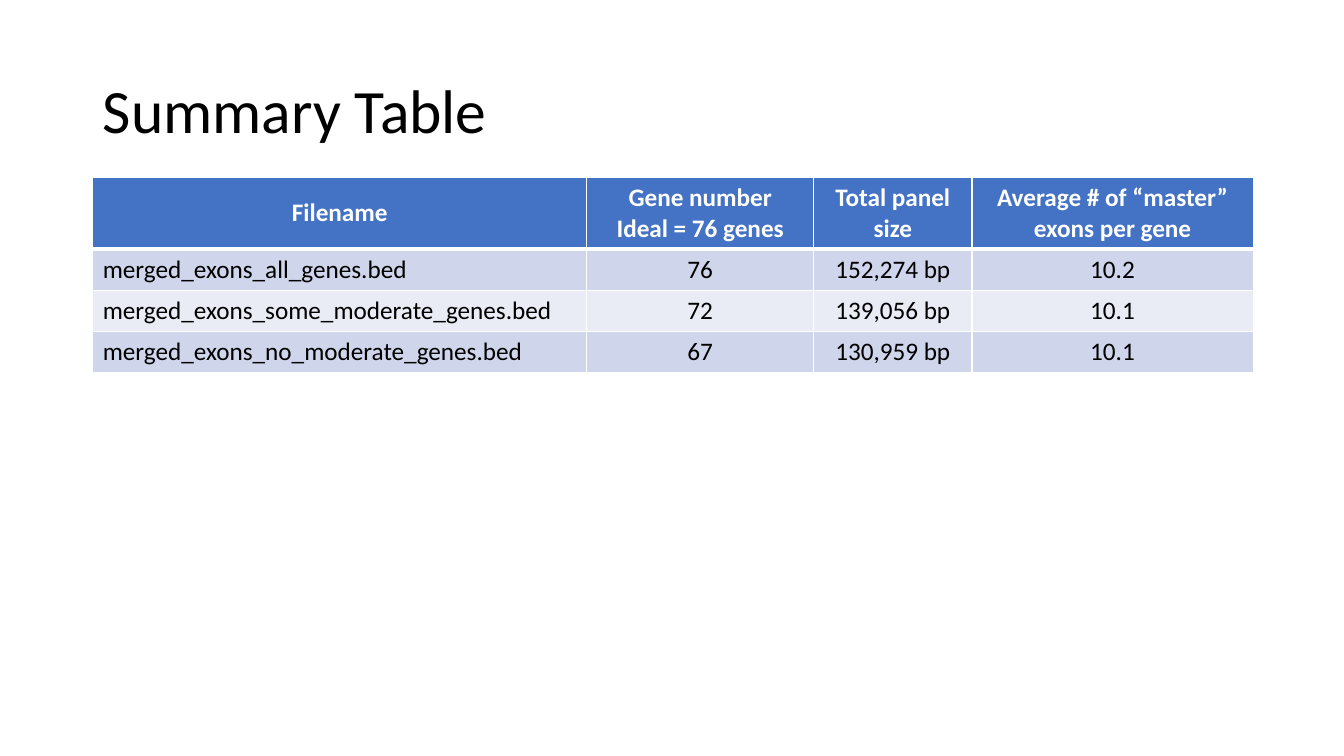
"""Build the summary table slide."""
from dataclasses import dataclass

from lxml import etree
from pptx import Presentation
from pptx.dml.color import RGBColor
from pptx.enum.text import MSO_ANCHOR, PP_ALIGN
from pptx.oxml.ns import qn
from pptx.util import Inches, Pt

LEFT, CENTER = PP_ALIGN.LEFT, PP_ALIGN.CENTER
TOP, MIDDLE = MSO_ANCHOR.TOP, MSO_ANCHOR.MIDDLE
TITLE_ONLY_LAYOUT = 5


@dataclass(frozen=True)
class Theme:
    """Colours, typeface and type sizes of the slide."""
    font: str = "Calibri"
    title_size: int = 44
    table_size: int = 18
    text: str = "000000"
    white: str = "FFFFFF"
    header: str = "4472C4"
    bands: tuple[str, str] = ("CFD5EA", "E9EBF5")
    rule: float = 1
    header_rule: float = 3


@dataclass(frozen=True)
class Column:
    """A table column with its heading, width and body alignment."""
    heading: str
    width: float
    align: PP_ALIGN = CENTER
    anchor: MSO_ANCHOR = MIDDLE


@dataclass(frozen=True)
class PanelFile:
    """One gene panel file and its figures."""
    filename: str
    genes: str
    size: str
    exons: str

    def values(self) -> tuple[str, ...]:
        """Return the figures in column order."""
        return self.filename, self.genes, self.size, self.exons


THEME = Theme()
COLUMNS = (
    Column("Filename", 4.9, LEFT, TOP),
    Column("Gene number\nIdeal = 76 genes", 2.25),
    Column("Total panel size", 1.57),
    Column("Average # of “master” exons per gene", 2.79),
)
PANEL_FILES = (
    PanelFile("merged_exons_all_genes.bed", "76", "152,274 bp", "10.2"),
    PanelFile("merged_exons_some_moderate_genes.bed", "72", "139,056 bp", "10.1"),
    PanelFile("merged_exons_no_moderate_genes.bed", "67", "130,959 bp", "10.1"),
)
MARGIN, CONTENT_WIDTH = 0.92, 11.5
TABLE_TOP, HEADER_HEIGHT, ROW_HEIGHT = 1.76, 0.7, 0.41


def write_text(frame, text: str, *, size: float, color: str = THEME.text,
               bold: bool = False, align: PP_ALIGN = LEFT,
               anchor: MSO_ANCHOR = MIDDLE, line_spacing: float = 1.0) -> None:
    """Fill a text frame with formatted text, one paragraph per line."""
    frame.text = text
    frame.word_wrap = True
    frame.vertical_anchor = anchor
    for paragraph in frame.paragraphs:
        paragraph.alignment = align
        paragraph.line_spacing = line_spacing
        for run in paragraph.runs:
            run.font.name = THEME.font
            run.font.size = Pt(size)
            run.font.bold = bold
            run.font.color.rgb = RGBColor.from_string(color)


def style_cell(cell, fill: str, bottom_rule: float, top_rule: float) -> None:
    """Give a cell white borders and a solid fill."""
    properties = cell._tc.get_or_add_tcPr()
    widths = {"lnL": THEME.rule, "lnR": THEME.rule,
              "lnT": top_rule, "lnB": bottom_rule}
    for side, width in widths.items():
        line = etree.SubElement(properties, qn(f"a:{side}"), w=str(Pt(width)))
        solid = etree.SubElement(line, qn("a:solidFill"))
        etree.SubElement(solid, qn("a:srgbClr"), val=THEME.white)
    cell.fill.solid()
    cell.fill.fore_color.rgb = RGBColor.from_string(fill)


def add_title(slide, text: str) -> None:
    """Place and format the slide title."""
    title = slide.shapes.title
    title.left, title.top = Inches(MARGIN), Inches(0.4)
    title.width, title.height = Inches(CONTENT_WIDTH), Inches(1.45)
    write_text(title.text_frame, text, size=THEME.title_size, line_spacing=0.9)


def add_summary_table(slide) -> None:
    """Draw the table of panel files."""
    height = HEADER_HEIGHT + ROW_HEIGHT * len(PANEL_FILES)
    table = slide.shapes.add_table(
        len(PANEL_FILES) + 1, len(COLUMNS), Inches(MARGIN), Inches(TABLE_TOP),
        Inches(CONTENT_WIDTH), Inches(height)).table
    table.rows[0].height = Inches(HEADER_HEIGHT)
    for index, column in enumerate(COLUMNS):
        table.columns[index].width = Inches(column.width)
        cell = table.cell(0, index)
        write_text(cell.text_frame, column.heading, size=THEME.table_size,
                   color=THEME.white, bold=True, align=CENTER)
        cell.vertical_anchor = MIDDLE
        style_cell(cell, THEME.header, THEME.header_rule, THEME.rule)
    for row, panel_file in enumerate(PANEL_FILES, start=1):
        table.rows[row].height = Inches(ROW_HEIGHT)
        top_rule = THEME.header_rule if row == 1 else THEME.rule
        band = THEME.bands[(row - 1) % len(THEME.bands)]
        for index, (column, value) in enumerate(zip(COLUMNS, panel_file.values())):
            cell = table.cell(row, index)
            write_text(cell.text_frame, value, size=THEME.table_size,
                       align=column.align)
            cell.vertical_anchor = column.anchor
            style_cell(cell, band, THEME.rule, top_rule)


def main() -> None:
    """Create and save the presentation."""
    presentation = Presentation()
    presentation.slide_width, presentation.slide_height = Inches(13.33), Inches(7.5)
    layout = presentation.slide_layouts[TITLE_ONLY_LAYOUT]
    slide = presentation.slides.add_slide(layout)
    add_title(slide, "Summary Table")
    add_summary_table(slide)
    presentation.save("out.pptx")


if __name__ == "__main__":
    main()
